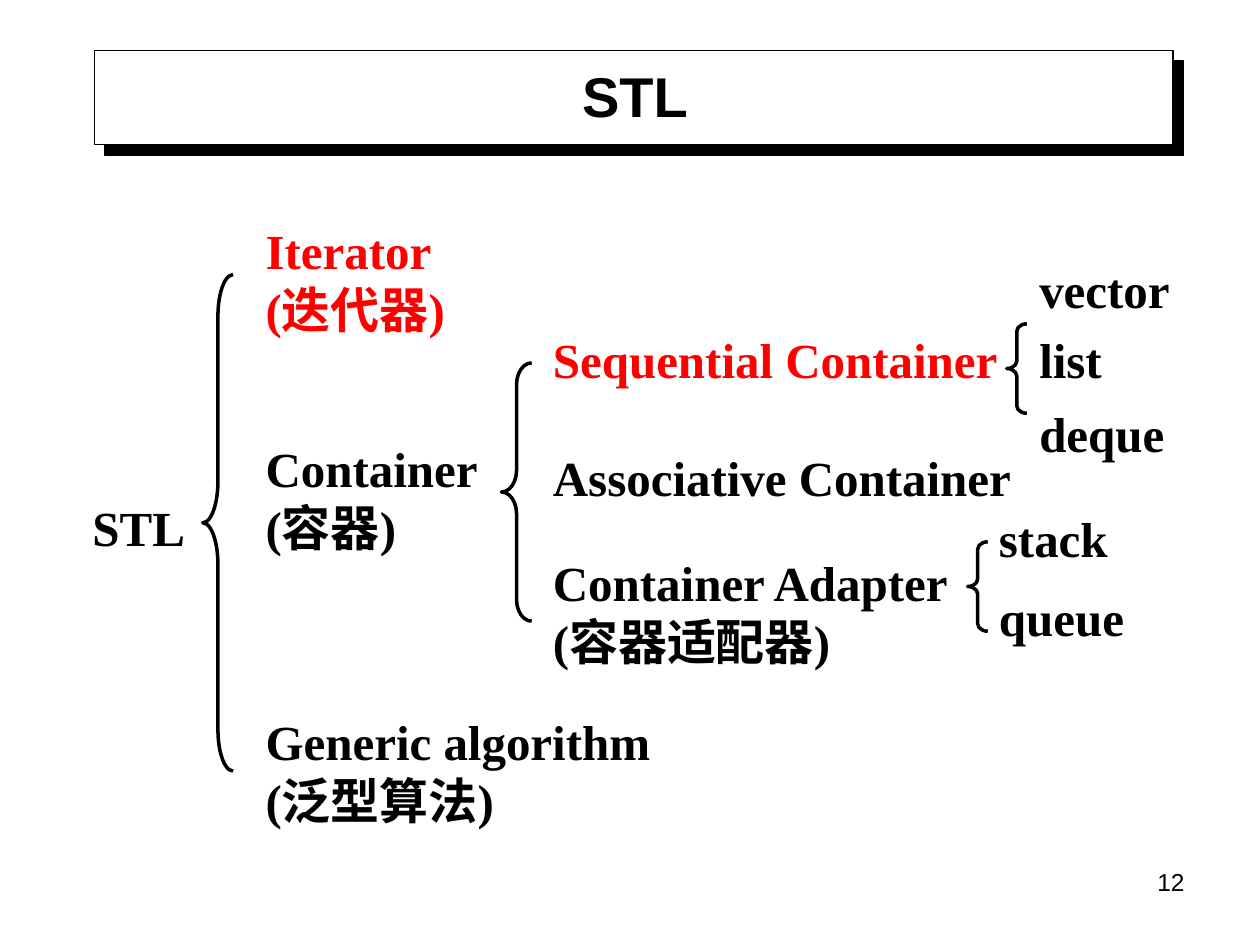
from pptx import Presentation
from pptx.dml.color import RGBColor
from pptx.enum.shapes import MSO_SHAPE as Shape
from pptx.enum.text import MSO_ANCHOR as Anchor, MSO_AUTO_SIZE as AutoSize, PP_ALIGN as Align
from pptx.oxml import parse_xml
from pptx.util import Inches, Pt

COLORS = {name: RGBColor.from_string(value) for name, value in
          {"black": "000000", "white": "FFFFFF", "red": "FF0000"}.items()}
SHADOW = (
    '<a:effectLst xmlns:a="http://schemas.openxmlformats.org/drawingml/2006/main">'
    '<a:outerShdw dist="107950" dir="2700000" algn="ctr" rotWithShape="0">'
    '<a:srgbClr val="000000"/></a:outerShdw></a:effectLst>'
)


def format_paragraph(paragraph, size, font_name, bold=True, color="black", align=Align.LEFT):
    paragraph.alignment = align
    paragraph.font.size = Pt(size)
    paragraph.font.name = font_name
    paragraph.font.bold = bold
    paragraph.font.color.rgb = COLORS[color]


presentation = Presentation()
presentation.slide_width = Inches(10)
presentation.slide_height = Inches(7.5)
slide = presentation.slides.add_slide(presentation.slide_layouts[5])
shapes = slide.shapes

# Title on a panel with a hard shadow
title = shapes.title
title.left, title.top, title.width, title.height = map(Inches, (0.75, 0.44, 8.58, 0.63))
title.text_frame.text = "STL"
title.text_frame.auto_size = AutoSize.NONE
title.text_frame.vertical_anchor = Anchor.MIDDLE
format_paragraph(title.text_frame.paragraphs[0], 32, "Arial", align=Align.CENTER)

panel = shapes.add_shape(Shape.RECTANGLE, Inches(0.75), Inches(0.4), Inches(8.56), Inches(0.75))
panel.fill.solid()
panel.fill.fore_color.rgb = COLORS["white"]
panel.line.color.rgb = COLORS["black"]
panel.line.width = Pt(0.75)
panel._element.spPr.append(parse_xml(SHADOW))
title._element.addprevious(panel._element)

# Labels of the tree: lines, left, top, width, height, colour, alignment
labels = [
    (["STL"], 0.59, 3.83, 1.02, 0.71, "black", Align.CENTER),
    (["Iterator", "(迭代器)"], 2.01, 1.86, 1.97, 0.71, "red", Align.LEFT),
    (["Container", "(容器)"], 2.01, 3.59, 2.05, 0.71, "black", Align.LEFT),
    (["Generic algorithm", "(泛型算法)"], 2.01, 5.72, 3.62, 0.79, "black", Align.LEFT),
    (["Sequential Container"], 4.29, 2.57, 4.1, 0.55, "red", Align.LEFT),
    (["Associative Container"], 4.29, 3.51, 4.1, 0.55, "black", Align.LEFT),
    (["Container Adapter", "(容器适配器)"], 4.29, 4.46, 3.47, 0.79, "black", Align.LEFT),
    (["vector"], 8.15, 2.02, 1.3, 0.55, "black", Align.LEFT),
    (["list"], 8.15, 2.57, 1.3, 0.55, "black", Align.LEFT),
    (["deque"], 8.15, 3.12, 1.3, 0.63, "black", Align.LEFT),
    (["stack"], 7.83, 3.99, 1.3, 0.55, "black", Align.LEFT),
    (["queue"], 7.83, 4.62, 1.3, 0.55, "black", Align.LEFT),
]
for lines, left, top, width, height, color, align in labels:
    label = shapes.add_textbox(Inches(left), Inches(top), Inches(width), Inches(height))
    frame = label.text_frame
    frame.word_wrap = False
    frame.vertical_anchor = Anchor.MIDDLE
    frame.text = "\n".join(lines)
    for paragraph in frame.paragraphs:
        format_paragraph(paragraph, 28, "Times New Roman", color=color, align=align)

# Braces, each curve a twelfth of the brace's height
braces = [
    (1.61, 2.18, 0.24, 3.94),
    (3.98, 2.88, 0.24, 2.05),
    (7.99, 2.57, 0.16, 0.71),
    (7.68, 4.3, 0.16, 0.71),
]
for left, top, width, height in braces:
    brace = shapes.add_shape(Shape.LEFT_BRACE, Inches(left), Inches(top), Inches(width), Inches(height))
    brace.adjustments[0] = height / 12 / width
    brace.shadow.inherit = False
    brace.fill.background()
    brace.line.color.rgb = COLORS["black"]
    brace.line.width = Pt(2)

# Slide number
number = shapes.add_textbox(Inches(7.17), Inches(6.83), Inches(2.33), Inches(0.52))
number.text_frame.word_wrap = True
number.text_frame.text = "12"
format_paragraph(number.text_frame.paragraphs[0], 14, "Arial", bold=False, align=Align.RIGHT)

presentation.save("out.pptx")
